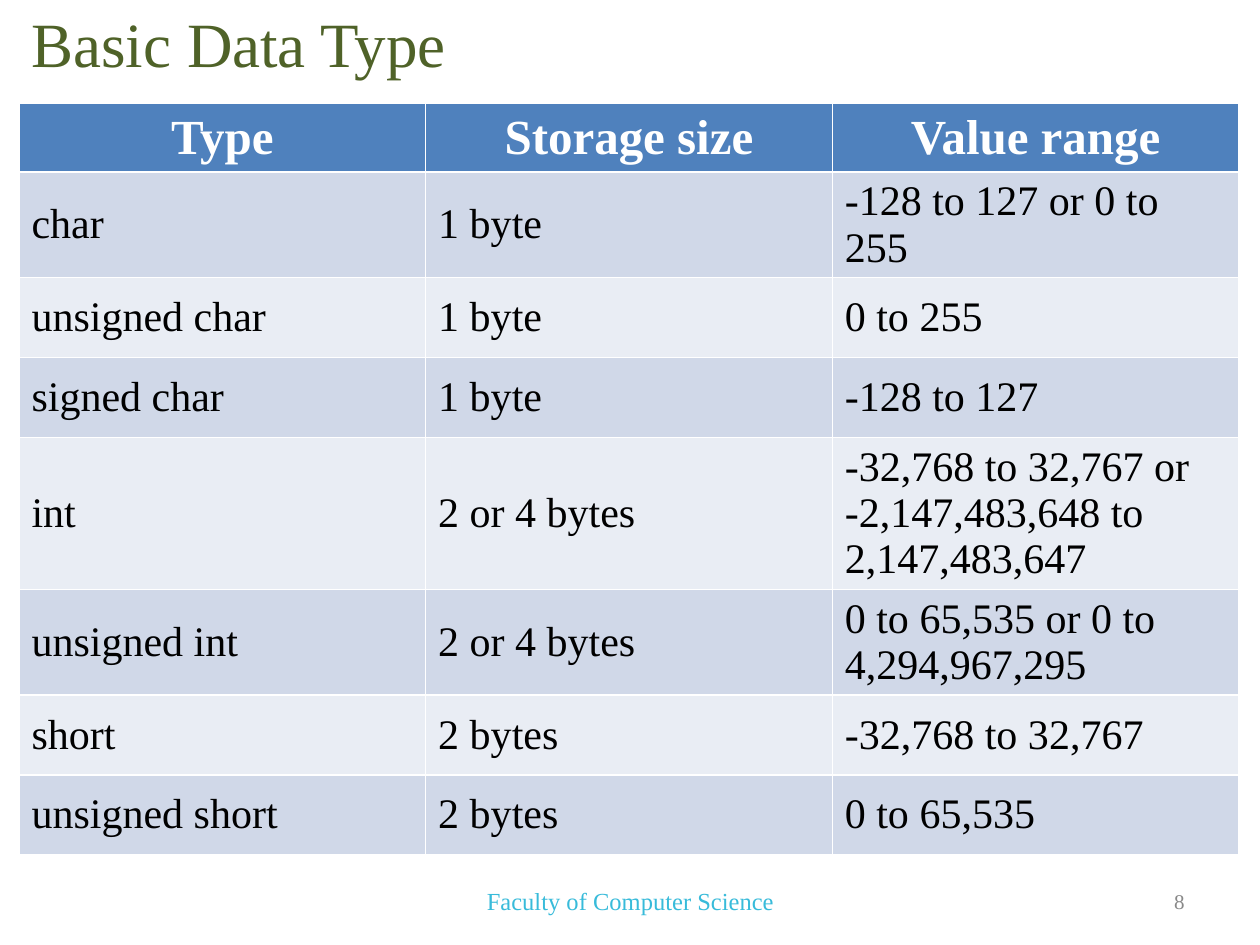
import pptx
import pptx.util
import pptx.dml.color
import pptx.enum.text

PX = 914400 // 126
FONT = "Times New Roman"
HUES = {"title": "4F6228", "head": "4F81BD", "odd": "D0D8E8", "even": "E9EDF4",
        "white": "FFFFFF", "black": "000000", "foot": "38BBDA", "page": "898989"}
ALIGN = pptx.enum.text.PP_ALIGN
MIDDLE = pptx.enum.text.MSO_ANCHOR.MIDDLE


def color(name):
    return pptx.dml.color.RGBColor.from_string(HUES[name])


def style(frame, text, size, hue, align, bold=False):
    frame.text = text
    line = frame.paragraphs[0]
    line.alignment = align
    font = line.runs[0].font
    font.name = FONT
    font.size = pptx.util.Pt(size)
    font.bold = bold
    font.color.rgb = color(hue)


deck = pptx.Presentation()
deck.slide_width = pptx.util.Inches(10)
deck.slide_height = pptx.util.Inches(7.5)
slide = deck.slides.add_slide(deck.slide_layouts[5])

title = slide.shapes.title
title.left, title.top, title.width, title.height = 19 * PX, 0, 863 * PX, 84 * PX
title.text_frame.vertical_anchor = MIDDLE
style(title.text_frame, "Basic Data Type ", 36, "title", ALIGN.LEFT)

rows = [
    ("Type", "Storage size", "Value range"),
    ("char", "1 byte", "-128 to 127 or 0 to 255"),
    ("unsigned char", "1 byte", "0 to 255"),
    ("signed char", "1 byte", "-128 to 127"),
    ("int", "2 or 4 bytes", "-32,768 to 32,767 or -2,147,483,648 to 2,147,483,647"),
    ("unsigned int", "2 or 4 bytes", "0 to 65,535 or 0 to 4,294,967,295"),
    ("short", "2 bytes", "-32,768 to 32,767"),
    ("unsigned short", "2 bytes", "0 to 65,535"),
]
HEAD, ROW = 69, 80
tall = HEAD + ROW * (len(rows) - 1)
table = slide.shapes.add_table(
    len(rows), 3, 19 * PX, 103 * PX, 1220 * PX, tall * PX).table
for i, row in enumerate(rows):
    table.rows[i].height = (ROW if i else HEAD) * PX
    for j, text in enumerate(row):
        cell = table.cell(i, j)
        cell.vertical_anchor = MIDDLE
        cell.fill.solid()
        if i == 0:
            cell.fill.fore_color.rgb = color("head")
            style(cell.text_frame, text, 28, "white", ALIGN.CENTER, True)
        else:
            cell.fill.fore_color.rgb = color("odd" if i % 2 else "even")
            style(cell.text_frame, text, 24, "black", ALIGN.LEFT)

notes = [
    (903, 294, "8", 12, "page", ALIGN.RIGHT),
    (431, 399, "Faculty of Computer Science", 14, "foot", ALIGN.CENTER),
]
for left, width, text, size, hue, align in notes:
    box = slide.shapes.add_textbox(left * PX, 876 * PX, width * PX, 50 * PX)
    box.text_frame.word_wrap = True
    box.text_frame.vertical_anchor = MIDDLE
    style(box.text_frame, text, size, hue, align)

deck.save("out.pptx")
